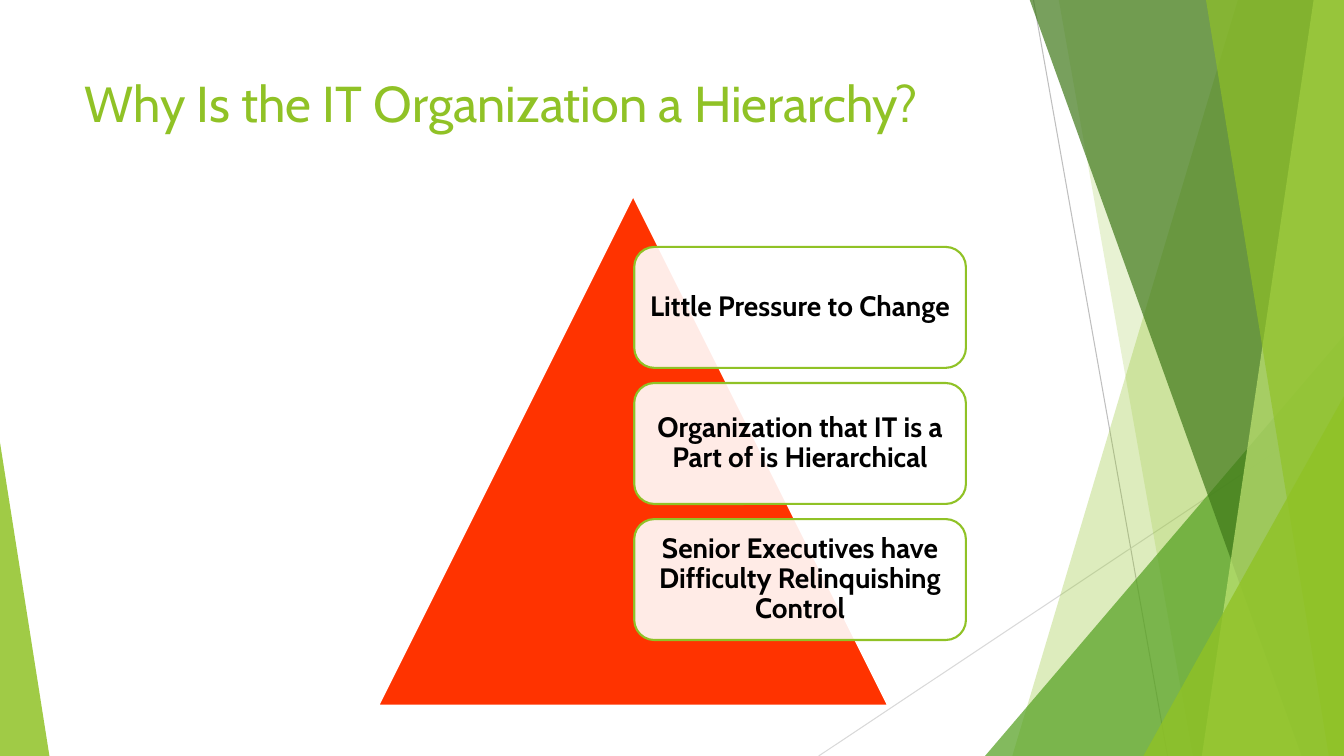
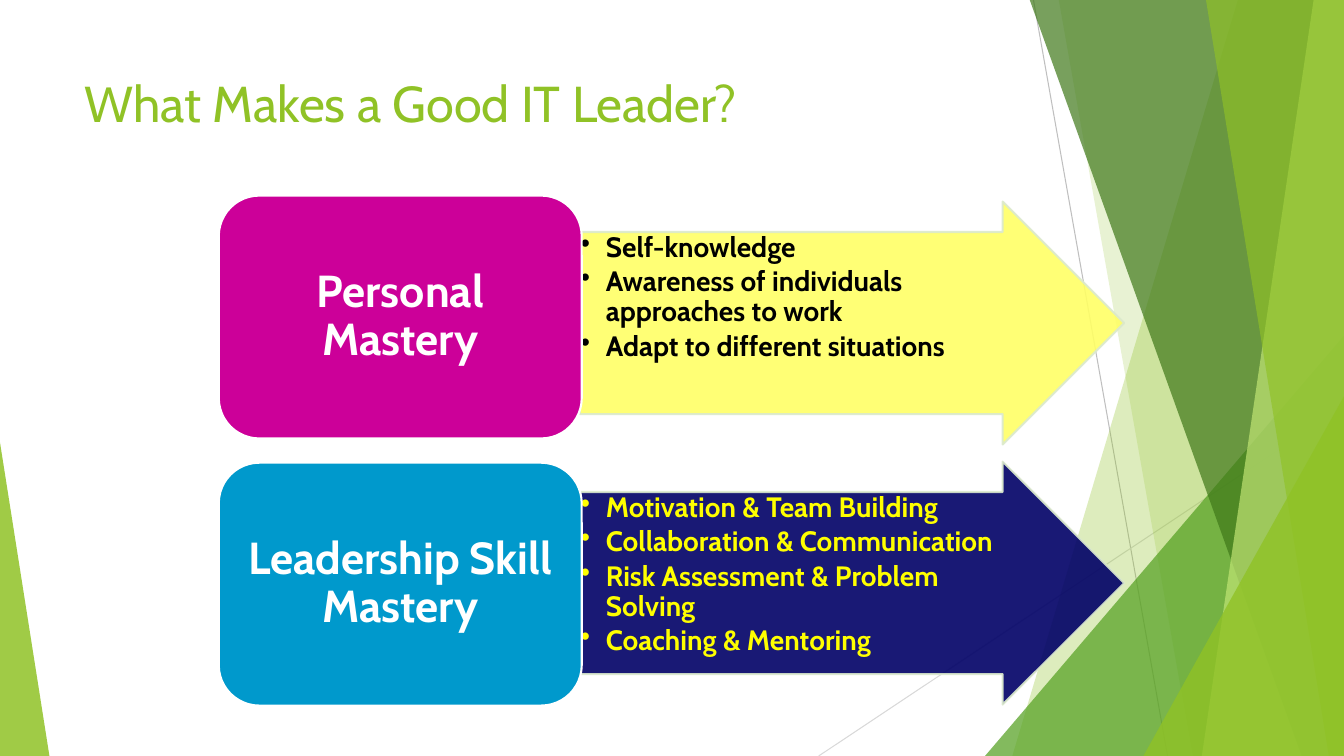
from dataclasses import dataclass

from lxml import etree
from pptx import Presentation
from pptx.dml.color import RGBColor
from pptx.enum.shapes import MSO_CONNECTOR, MSO_SHAPE
from pptx.enum.text import MSO_ANCHOR, PP_ALIGN
from pptx.oxml.ns import qn
from pptx.util import Inches, Pt

STRAIGHT = MSO_CONNECTOR.STRAIGHT
TRIANGLE = MSO_SHAPE.ISOSCELES_TRIANGLE
ROUNDED = MSO_SHAPE.ROUNDED_RECTANGLE
ARROW = MSO_SHAPE.RIGHT_ARROW
TOP, MIDDLE = MSO_ANCHOR.TOP, MSO_ANCHOR.MIDDLE
LEFT, CENTER = PP_ALIGN.LEFT, PP_ALIGN.CENTER

WIDTH, HEIGHT = 13.33, 7.5
BAND_TOP = -0.01


@dataclass(frozen=True)
class Theme:
    font: str = "Cabin"
    title_size: int = 36
    heading_size: int = 32
    body_size: int = 20
    outline: float = 1.5
    hairline: float = 0.75
    white: str = "FFFFFF"
    black: str = "000000"
    green: str = "90C226"
    mid_green: str = "54A021"
    dark_green: str = "3F7819"
    light_green: str = "C0E474"
    pale_green: str = "DBE9CD"
    gray: str = "BFBFBF"
    light_gray: str = "D9D9D9"
    red: str = "FF3300"
    magenta: str = "CC0099"
    blue: str = "0099CC"
    navy: str = "000066"
    pale_yellow: str = "FFFF66"
    yellow: str = "FFFF00"


THEME = Theme()

# Background: start, end, colour
HAIRLINES = [
    ((10.25, 0), (11.58, HEIGHT), THEME.gray),
    ((WIDTH, 4.03), (8.12, HEIGHT), THEME.light_gray),
]
# Bands reach the right edge: top x, bottom x, colour, opacity
BACK_BANDS = [(12.28, 10.04, THEME.green, 30), (10.5, 11.83, THEME.green, 20)]
FRONT_BANDS = [
    (10.21, 12.91, THEME.dark_green, 70),
    (13.03, 11.92, THEME.light_green, 70),
    (11.96, 13.18, THEME.green, 65),
]
# Corner triangles stand on the bottom edge: left, top, width, apex, colour, opacity
BACK_CORNERS = [(9.77, 3.33, 3.56, 1, THEME.mid_green, 72)]
FRONT_CORNERS = [
    (11.34, 3.93, 1.99, 1, THEME.green, 80),
    (0, 4.39, 0.49, 0, THEME.green, 85),
]

REASONS = [
    "Little Pressure to Change",
    "Organization that IT is a Part of is Hierarchical",
    "Senior Executives have Difficulty Relinquishing Control",
]

# Heading, box top, box colour, arrow top, arrow colour, text colour, points
MASTERIES = [
    ("Personal Mastery", 1.94, THEME.magenta, 2, THEME.pale_yellow, THEME.black,
     ["Self-knowledge", "Awareness of individuals approaches to work",
      "Adapt to different situations"]),
    ("Leadership Skill Mastery", 4.59, THEME.blue, 4.58, THEME.navy, THEME.yellow,
     ["Motivation & Team Building", "Collaboration & Communication",
      "Risk Assessment & Problem Solving", "Coaching & Mentoring"]),
]


def set_opacity(parent, percent):
    """Make every colour below the given XML element partly transparent."""
    for color in parent.iter(qn("a:srgbClr")):
        etree.SubElement(color, qn("a:alpha"), val=str(percent * 1000))


class Deck:
    def __init__(self, theme):
        self.theme = theme
        self.presentation = Presentation()
        self.presentation.slide_width = Inches(WIDTH)
        self.presentation.slide_height = Inches(HEIGHT)
        self.slide = None

    def add_slide(self, title):
        layout = self.presentation.slide_layouts[6]
        self.slide = self.presentation.slides.add_slide(layout)
        self.background()
        self.title(title)

    # Shared background
    def background(self):
        for start, end, color in HAIRLINES:
            self.hairline(start, end, color)
        for bands, corners in ((BACK_BANDS, BACK_CORNERS), (FRONT_BANDS, FRONT_CORNERS)):
            for band in bands:
                self.band(*band)
            for left, top, width, apex, color, opacity in corners:
                self.shape(TRIANGLE, left, top, width, HEIGHT - top, color,
                           opacity=opacity, adjustments=[apex])

    def hairline(self, start, end, color):
        points = [Inches(value) for value in (*start, *end)]
        connector = self.slide.shapes.add_connector(STRAIGHT, *points)
        connector.line.color.rgb = RGBColor.from_string(color)
        connector.line.width = Pt(self.theme.hairline)
        etree.SubElement(connector.element.spPr, qn("a:effectLst"))

    def band(self, top_x, bottom_x, color, opacity):
        corners = [(WIDTH, BAND_TOP), (WIDTH, HEIGHT), (bottom_x, HEIGHT)]
        builder = self.slide.shapes.build_freeform(Inches(top_x), Inches(BAND_TOP))
        builder.add_line_segments([(Inches(x), Inches(y)) for x, y in corners], close=True)
        self.style(builder.convert_to_shape(), color, opacity=opacity)

    # Shapes
    def style(self, shape, fill, line=None, opacity=None, line_opacity=None):
        shape.shadow.inherit = False
        shape.fill.solid()
        shape.fill.fore_color.rgb = RGBColor.from_string(fill)
        if line:
            shape.line.color.rgb = RGBColor.from_string(line)
            shape.line.width = Pt(self.theme.outline)
        else:
            shape.line.fill.background()
        properties = shape.element.spPr
        if opacity:
            set_opacity(properties.find(qn("a:solidFill")), opacity)
        if line_opacity:
            set_opacity(properties.find(qn("a:ln")), line_opacity)

    def shape(self, kind, left, top, width, height, fill, adjustments=(), **style):
        shape = self.slide.shapes.add_shape(
            kind, Inches(left), Inches(top), Inches(width), Inches(height))
        for index, value in enumerate(adjustments):
            shape.adjustments[index] = value
        self.style(shape, fill, **style)
        return shape

    # Text
    def set_text(self, shape, lines, size, color, bold=True, align=CENTER, anchor=MIDDLE,
                 margins=(0.1, 0.05), line_spacing=0.9):
        frame = shape.text_frame
        frame.word_wrap = True
        frame.vertical_anchor = anchor
        frame.margin_left = frame.margin_right = Inches(margins[0])
        frame.margin_top = frame.margin_bottom = Inches(margins[1])
        frame.text = "\n".join(lines)
        for paragraph in frame.paragraphs:
            paragraph.alignment = align
            paragraph.line_spacing = line_spacing
            for run in paragraph.runs:
                run.font.name = self.theme.font
                run.font.size = Pt(size)
                run.font.bold = bold
                run.font.color.rgb = RGBColor.from_string(color)

    def add_bullets(self, shape):
        for paragraph in shape.text_frame.paragraphs:
            paragraph.space_after = Pt(0.15 * self.theme.body_size)
        for properties in shape.element.iter(qn("a:pPr")):
            properties.set("marL", str(Inches(0.25)))
            properties.set("indent", str(Inches(-0.25)))
            etree.SubElement(properties, qn("a:buChar"), char="•")

    def title(self, text):
        box = self.slide.shapes.add_textbox(
            Inches(0.74), Inches(0.67), Inches(9.4), Inches(1.44))
        self.set_text(box, [text], self.theme.title_size, self.theme.green, bold=False,
                      align=LEFT, anchor=TOP, line_spacing=1.0)

    def reason(self, text, top, height):
        theme = self.theme
        box = self.shape(ROUNDED, 6.29, top, 3.29, height, theme.white,
                         line=theme.green, opacity=90)
        self.set_text(box, [text], theme.body_size, theme.black, margins=(0.08, 0.08))

    def mastery(self, heading, box_top, box_color, arrow_top, arrow_color, text_color, points):
        theme = self.theme
        arrow = self.shape(ARROW, 5.75, arrow_top, 5.4, 2.41, arrow_color,
                           adjustments=[0.75, 0.5], line=theme.pale_green,
                           opacity=90, line_opacity=90)
        self.set_text(arrow, points, theme.body_size, text_color, align=LEFT, anchor=TOP,
                      margins=(0.01, 0.01))
        self.add_bullets(arrow)
        box = self.shape(ROUNDED, 2.17, box_top, 3.6, 2.41, box_color, line=theme.white)
        self.set_text(box, [heading], theme.heading_size, theme.white, margins=(0.13, 0.07))


def main():
    deck = Deck(THEME)

    # Slide 1: pyramid with reasons
    deck.add_slide("Why Is the IT Organization a Hierarchy?")
    deck.shape(TRIANGLE, 3.75, 1.94, 5.06, 5.06, THEME.red, line=THEME.white)
    height, gap = 1.2, 0.15
    for index, reason in enumerate(REASONS):
        deck.reason(reason, 2.45 + index * (height + gap), height)

    # Slide 2: masteries with arrows
    deck.add_slide("What Makes a Good IT Leader?")
    for mastery in MASTERIES:
        deck.mastery(*mastery)

    deck.presentation.save("out.pptx")


if __name__ == "__main__":
    main()
